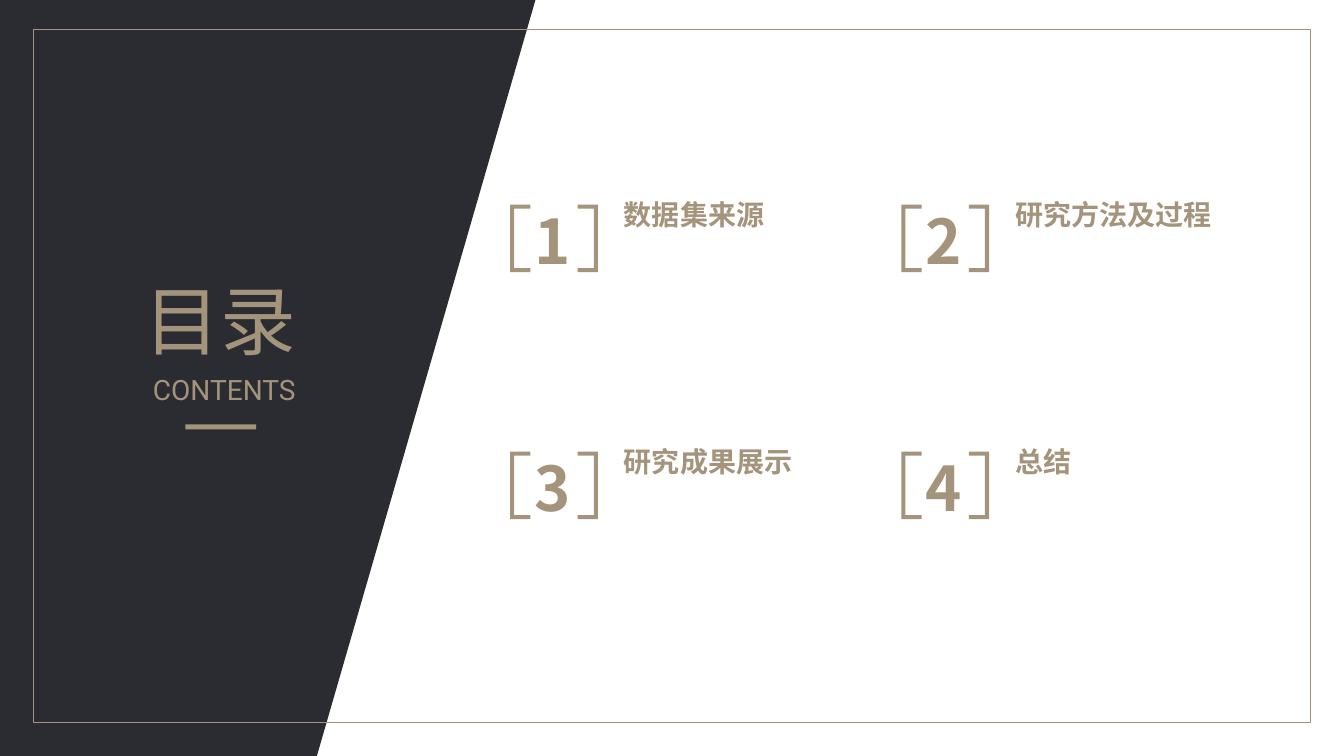
"""Build a contents slide with a slanted dark panel and four bracketed, numbered sections."""
from dataclasses import dataclass

from lxml import etree
from pptx import Presentation
from pptx.dml.color import RGBColor
from pptx.enum.shapes import MSO_SHAPE
from pptx.enum.text import MSO_ANCHOR, MSO_AUTO_SIZE, PP_ALIGN
from pptx.oxml.ns import qn
from pptx.util import Inches, Pt

LEFT, CENTER = PP_ALIGN.LEFT, PP_ALIGN.CENTER
RECTANGLE, PARALLELOGRAM = MSO_SHAPE.RECTANGLE, MSO_SHAPE.PARALLELOGRAM
TITLE_ONLY = 5

HEADING = "目录"
SUBHEADING = "CONTENTS"
SECTIONS = ["数据集来源", "研究方法及过程", "研究成果展示", "总结"]


@dataclass(frozen=True)
class Theme:
    dark: RGBColor = RGBColor.from_string("2B2C31")
    gold: RGBColor = RGBColor.from_string("A4947B")
    cjk: str = "Noto Sans CJK SC"
    latin: str = "Roboto"
    heading: int = 54
    number: int = 44
    label: int = 20
    border: int = 1


THEME = Theme()
SLIDE_W, SLIDE_H = 13.33, 7.5
COLUMNS = 2
GRID_LEFT, GRID_TOP = 5.06, 2.03
COLUMN_STEP, ROW_STEP = 3.88, 2.45
BRACKET_SPAN, BRACKET_H = 0.87, 0.67
BRACKET_ARM, BRACKET_STROKE = 0.2, 0.04


def write(box, text, size, font, align=LEFT, bold=False):
    frame = box.text_frame
    frame_format = {
        "word_wrap": True,
        "auto_size": MSO_AUTO_SIZE.NONE,
        "vertical_anchor": MSO_ANCHOR.TOP,
    }
    for key, value in frame_format.items():
        setattr(frame, key, value)
    paragraph = frame.paragraphs[0]
    paragraph.alignment = align
    run = paragraph.add_run()
    run.text = text
    for key, value in {"name": font, "size": Pt(size), "bold": bold}.items():
        setattr(run.font, key, value)
    run.font.color.rgb = THEME.gold
    run.font.fill.solid()
    run.font.color.rgb = THEME.gold
    latin = run.font._element.find(qn("a:latin"))
    east_asian = etree.Element(qn("a:ea"), typeface=font)
    latin.addnext(east_asian)


def add_text(shapes, area, *style, **options):
    write(shapes.add_textbox(*map(Inches, area)), *style, **options)


def paint(shape, color):
    shape.shadow.inherit = False
    shape.fill.solid()
    shape.fill.fore_color.rgb = color
    shape.line.fill.background()


def add_bracket(shapes, spine, top, direction):
    tip = spine + direction * BRACKET_ARM
    inner = spine + direction * BRACKET_STROKE
    bottom = top + BRACKET_H
    outline = [
        (tip, bottom), (spine, bottom), (spine, top), (tip, top),
        (tip, top + BRACKET_STROKE), (inner, top + BRACKET_STROKE),
        (inner, bottom - BRACKET_STROKE), (tip, bottom - BRACKET_STROKE),
    ]
    points = [(Inches(x), Inches(y)) for x, y in outline]
    builder = shapes.build_freeform(*points[0])
    builder.add_line_segments(points[1:], close=True)
    paint(builder.convert_to_shape(), THEME.gold)


def add_section(slide, index, label):
    row, column = divmod(index, COLUMNS)
    left = GRID_LEFT + column * COLUMN_STEP
    top = GRID_TOP + row * ROW_STEP
    shapes = slide.shapes.add_group_shape().shapes
    add_text(shapes, (left + 0.14, top - 0.07, 0.47, 0.84),
             str(index + 1), THEME.number, THEME.cjk, bold=True)
    add_bracket(shapes, left, top, 1)
    add_bracket(shapes, left + BRACKET_SPAN, top, -1)
    add_text(shapes, (left + 1.03, top - 0.12, 2.85, 0.44),
             label, THEME.label, THEME.cjk, bold=True)


def add_backdrop(slide):
    panel = slide.shapes.add_shape(
        PARALLELOGRAM, Inches(-0.18 * SLIDE_W), 0, Inches(7.71), Inches(SLIDE_H))
    panel.adjustments[0] = 0.289
    paint(panel, THEME.dark)
    border = slide.shapes.add_shape(
        RECTANGLE, *map(Inches, (0.33, 0.29, 12.67, 6.88)))
    border.shadow.inherit = False
    border.fill.background()
    border.line.color.rgb = THEME.gold
    border.line.width = Pt(THEME.border)
    return border


def add_heading(slide, border):
    title = slide.shapes.title
    border.element.addnext(title.element)
    place = {"left": 0.69, "top": 2.67, "width": 2.99, "height": 1.01}
    for key, value in place.items():
        setattr(title, key, Inches(value))
    write(title, HEADING, THEME.heading, THEME.cjk, align=CENTER)
    add_text(slide.shapes, (1.01, 3.65, 2.43, 0.44),
             SUBHEADING, THEME.label, THEME.latin, align=CENTER)
    underline = slide.shapes.add_shape(
        RECTANGLE, *map(Inches, (1.84, 4.21, 0.7, 0.05)))
    paint(underline, THEME.gold)


def main():
    deck = Presentation()
    deck.slide_width, deck.slide_height = Inches(SLIDE_W), Inches(SLIDE_H)
    slide = deck.slides.add_slide(deck.slide_layouts[TITLE_ONLY])
    border = add_backdrop(slide)
    add_heading(slide, border)
    for index, label in enumerate(SECTIONS):
        add_section(slide, index, label)
    deck.save("out.pptx")


if __name__ == "__main__":
    main()
